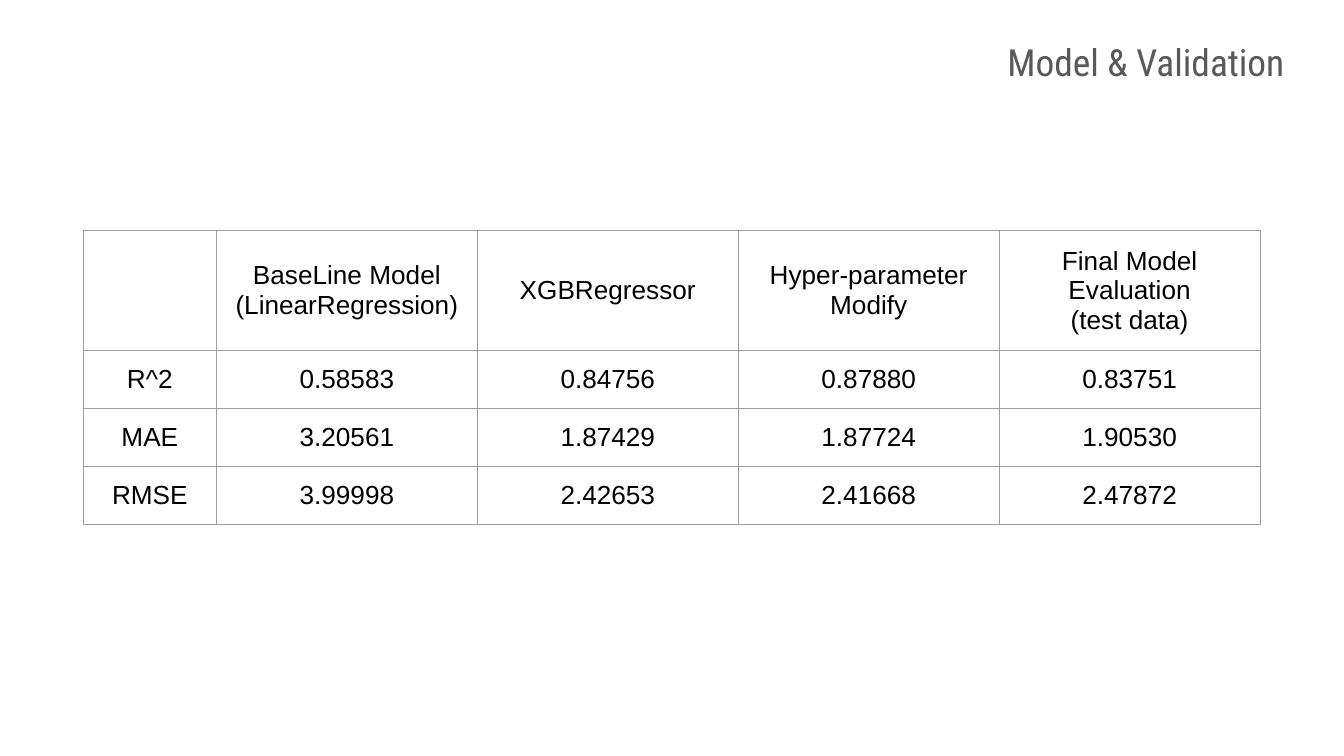
from dataclasses import dataclass

from lxml import etree
from pptx import Presentation
from pptx.dml.color import RGBColor
from pptx.enum import text
from pptx.oxml import ns
from pptx.util import Pt

GREY = RGBColor(0x59, 0x59, 0x59)
BLACK = RGBColor(0, 0, 0)
RULE = RGBColor(0x9E, 0x9E, 0x9E)
INSET = Pt(7.2)
PADS = {f"margin_{side}": INSET for side in ("left", "top", "right", "bottom")}


@dataclass
class Style:
    font: str
    size: float
    color: RGBColor
    para: dict


@dataclass
class Row:
    height: float
    cells: tuple


HEAD = Style("Roboto Condensed", 20, GREY, {
    "alignment": text.PP_ALIGN.RIGHT,
    "line_spacing": 1.15,
    "space_before": Pt(0),
    "space_after": Pt(12),
})
CELL = Style("Arial", 14, BLACK, {"alignment": text.PP_ALIGN.CENTER})

WIDTHS = (71.4,) + (139.8,) * 4
ROWS = (
    Row(64.6, ("", "BaseLine Model\n(LinearRegression)", "XGBRegressor",
               "Hyper-parameter Modify", "Final Model Evaluation\n(test data)")),
    Row(31.05, ("R^2", "0.58583", "0.84756", "0.87880", "0.83751")),
    Row(31.05, ("MAE", "3.20561", "1.87429", "1.87724", "1.90530")),
    Row(31.05, ("RMSE", "3.99998", "2.42653", "2.41668", "2.47872")),
)


def apply(item, values: dict) -> None:
    for name, value in values.items():
        setattr(item, name, value)


def write(frame, words: str, style: Style) -> None:
    frame.text = words
    for para in frame.paragraphs:
        apply(para, style.para)
        apply(para.font, {"name": style.font, "size": Pt(style.size)})
        para.font.color.rgb = style.color
        for run in para.runs:
            apply(run.font, {"name": style.font, "size": Pt(style.size), "bold": False})
            run.font.color.rgb = style.color


def border(cell) -> None:
    props = cell._tc.get_or_add_tcPr()
    for side in "LRTB":
        line = etree.SubElement(props, ns.qn(f"a:ln{side}"), w=str(Pt(0.75)))
        fill = etree.SubElement(line, ns.qn("a:solidFill"))
        etree.SubElement(fill, ns.qn("a:srgbClr"), val=str(RULE))


def draw_title(slide, words: str) -> None:
    title = slide.shapes.title
    apply(title, {"left": Pt(24.5), "top": Pt(8.6), "width": Pt(671), "height": Pt(45.4)})
    frame = title.text_frame
    write(frame, words, HEAD)
    apply(frame, {**PADS, "word_wrap": True, "vertical_anchor": text.MSO_ANCHOR.MIDDLE,
                  "auto_size": text.MSO_AUTO_SIZE.NONE})


def draw_table(slide, left: float, top: float) -> None:
    high = sum(row.height for row in ROWS)
    table = slide.shapes.add_table(len(ROWS), len(WIDTHS), Pt(left), Pt(top),
                                   Pt(sum(WIDTHS)), Pt(high)).table
    apply(table, {"first_row": False, "horz_banding": False})
    for col, width in zip(table.columns, WIDTHS):
        col.width = Pt(width)
    for line, row in zip(table.rows, ROWS):
        line.height = Pt(row.height)
        for cell, words in zip(line.cells, row.cells):
            write(cell.text_frame, words, CELL)
            apply(cell, {**PADS, "vertical_anchor": text.MSO_ANCHOR.MIDDLE})
            border(cell)
            cell.fill.background()


def main() -> None:
    deck = Presentation()
    apply(deck, {"slide_width": Pt(720), "slide_height": Pt(405)})
    slide = deck.slides.add_slide(deck.slide_layouts[5])
    draw_title(slide, "Model & Validation")
    draw_table(slide, 44.6, 123.4)
    deck.save("out.pptx")


main()
